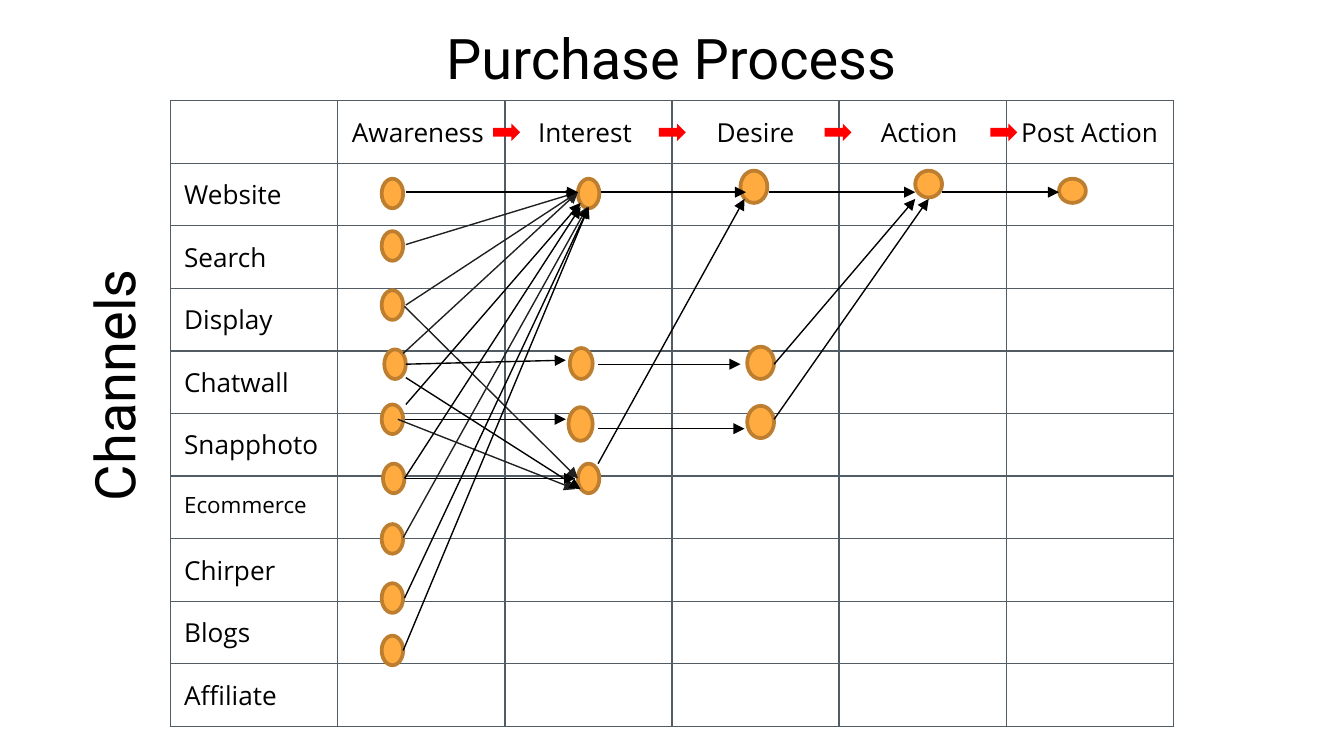
from pptx import Presentation
from pptx.dml.color import RGBColor
from pptx.enum.shapes import MSO_CONNECTOR as CONNECTOR, MSO_SHAPE as SHAPE
from pptx.enum.text import PP_ALIGN as ALIGN
from pptx.oxml import parse_xml
from pptx.oxml.ns import nsdecls
from pptx.util import Inches, Pt

presentation = Presentation()
presentation.slide_width = Inches(10)
presentation.slide_height = presentation.slide_width * 9 // 16
slide = presentation.slides.add_slide(presentation.slide_layouts[6])
shapes = slide.shapes

# Lengths count the squares of a grid, 100 columns across the slide
UNIT = presentation.slide_width / 100


def grid(*lengths):
    return [round(length * UNIT) for length in lengths]


def color(value):
    return RGBColor.from_string(value)


# Table of channels by purchase stage; rows grow to fit their text
STAGES = ["Awareness ", "Interest ", "Desire", "Action ", "Post Action"]
CHANNELS = ["Website", "Search", "Display", "Chatwall", "Snapphoto",
            "Ecommerce", "Chirper", "Blogs", "Affiliate"]
rows = [["", *STAGES]] + [[channel] + [""] * len(STAGES) for channel in CHANNELS]
table = shapes.add_table(len(rows), len(rows[0]), *grid(12.7, 7.5, 74.6, 39)).table
table.first_row = table.horz_banding = False
for r, row in enumerate(rows):
    for c, text in enumerate(row):
        cell = table.cell(r, c)
        cell.text = text
        cell.margin_left = cell.margin_right = Inches(0.1)
        cell.margin_top = cell.margin_bottom = Inches(0.1)
        paragraph = cell.text_frame.paragraphs[0]
        paragraph.alignment = ALIGN.CENTER if r == 0 else ALIGN.LEFT
        paragraph.font.name = "Open Sans"
        paragraph.font.size = Pt(12 if text == "Ecommerce" else 14)
        paragraph.font.color.rgb = color("000000")
        properties = cell._tc.get_or_add_tcPr()
        for side in ("lnL", "lnR", "lnT", "lnB"):
            properties.append(parse_xml(
                f'<a:{side} {nsdecls("a")} w="9525"><a:solidFill>'
                f'<a:srgbClr val="525C65"/></a:solidFill></a:{side}>'))
        cell.fill.background()

# Axis titles
for text, box, rotation in [("Channels ", (-7.7, 24.6, 32.3, 7.1), 270),
                            ("Purchase Process", (18.9, 0.75, 62.1, 5.8), 0)]:
    title = shapes.add_textbox(*grid(*box))
    title.rotation = rotation
    frame = title.text_frame
    frame.word_wrap = True
    frame.margin_left = frame.margin_right = Inches(0.1)
    frame.margin_top = frame.margin_bottom = Inches(0.1)
    paragraph = frame.paragraphs[0]
    paragraph.text = text
    paragraph.alignment = ALIGN.CENTER
    paragraph.font.name = "Roboto"
    paragraph.font.size = Pt(30)
    paragraph.font.color.rgb = color("000000")

# Red arrows between the stages
for step in range(len(STAGES) - 1):
    arrow = shapes.add_shape(SHAPE.RIGHT_ARROW, *grid(36.7 + 12.33 * step, 9.2, 2, 1.3))
    arrow.shadow.inherit = False
    arrow.fill.solid()
    arrow.fill.fore_color.rgb = color("FF0000")
    arrow.line.fill.background()

# Touchpoints: left, top, width, height
SMALL = (1.6, 2.2)
LARGE = (2, 2.4)
touchpoints = [(28.4, top, *SMALL) for top in (13.3, 17.2, 21.6, 30.1, 39, 43.4, 47.3)]
touchpoints += [
    (28.6, 26, *SMALL), (28.5, 34.5, *SMALL),                       # awareness
    (43, 13.3, *SMALL), (43, 34.5, *SMALL),                         # interest
    (42.4, 25.9, 1.7, 2.3), (42.3, 30.3, 1.8, 2.5),
    (55.1, 12.7, *LARGE), (55.6, 25.8, *LARGE), (55.6, 30.2, *LARGE),  # desire
    (68.1, 12.7, 2, 2),                                             # action
    (78.8, 13.3, 2, 1.8),                                           # post action
]
for box in touchpoints:
    dot = shapes.add_shape(SHAPE.OVAL, *grid(*box))
    dot.shadow.inherit = False
    dot.fill.solid()
    dot.fill.fore_color.rgb = color("FFAB40")
    dot.line.color.rgb = color("BD7F2F")
    dot.line.width = Pt(2)

# Customer paths: start x, start y, end x, end y
PATHS = {
    "202020": [
        (30.2, 18.2, 43, 14.3), (30.2, 22.7, 43, 14.3), (30.1, 22.8, 43, 35.6),
        (30, 26.3, 43, 14.3), (29.6, 31.2, 42.8, 36.4), (30, 40, 43.7, 15.4),
    ],
    "000000": [
        # awareness to interest
        (30.2, 14.3, 43, 14.3), (30.2, 28.1, 43.2, 36.4), (30.2, 30.1, 43.2, 15.1),
        (30.1, 35.6, 42.8, 35.6), (30.1, 35.6, 43.2, 15.4), (30.1, 44.5, 43.8, 15.4),
        (30, 48.4, 43.8, 15.4), (30.2, 27.1, 42.1, 26.8), (30.1, 31.2, 42.1, 31.2),
        # interest to desire
        (44.7, 14.3, 55.5, 14.3), (44.5, 34.5, 55.4, 14.8),
        (44.5, 27.1, 55.1, 27.1), (44.5, 31.9, 55.4, 31.9),
        # desire to action, action to post action
        (57.2, 14.3, 68.1, 14.3), (57.6, 27.1, 68.1, 14.8),
        (57.6, 31.2, 69.1, 14.8), (70.1, 14.3, 78.8, 14.3),
    ],
}
for shade, ends in PATHS.items():
    for points in ends:
        connector = shapes.add_connector(CONNECTOR.STRAIGHT, *grid(*points))
        connector.line.color.rgb = color(shade)
        connector.line.width = Pt(0.75)
        connector.line._get_or_add_ln().append(
            parse_xml(f'<a:tailEnd {nsdecls("a")} type="triangle"/>'))
        connector._element.spPr.append(parse_xml(f'<a:effectLst {nsdecls("a")}/>'))

presentation.save("out.pptx")
